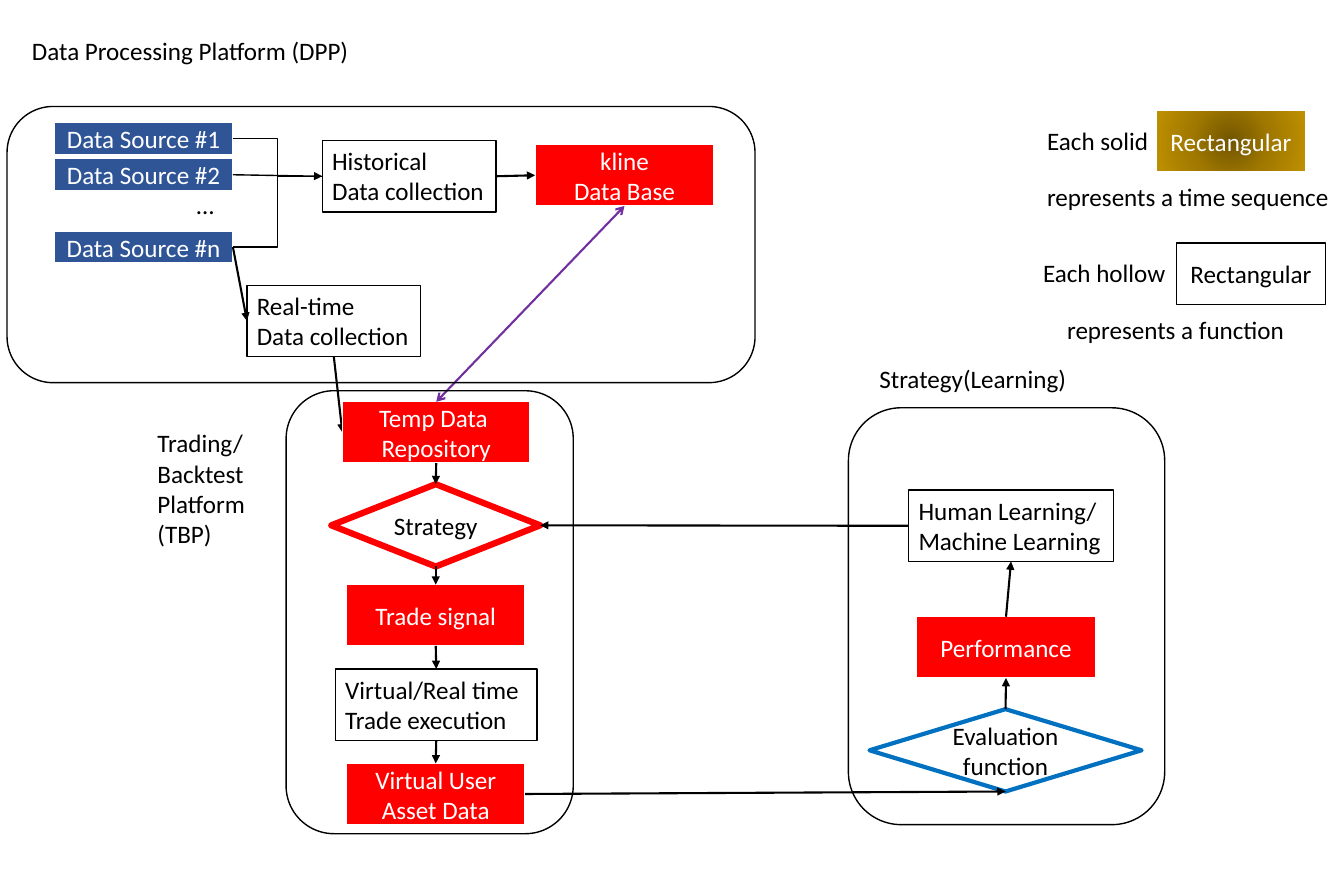
import lxml.etree
import pptx
import pptx.dml.color
import pptx.enum.dml
import pptx.enum.shapes
import pptx.enum.text
import pptx.oxml
import pptx.oxml.ns
import pptx.util

Inches = pptx.util.Inches
Pt = pptx.util.Pt
Preset = pptx.enum.shapes.MSO_SHAPE
Connector = pptx.enum.shapes.MSO_CONNECTOR
qn = pptx.oxml.ns.qn

BLACK, WHITE, RED, BLUE, PURPLE = "000000", "FFFFFF", "FF0000", "2F5597", "7030A0"
TOP, LEFT, BOTTOM, RIGHT = range(4)

presentation = pptx.Presentation()
presentation.slide_width = Inches(34 / 2.54)
presentation.slide_height = Inches(22 / 2.54)
slide = presentation.slides.add_slide(presentation.slide_layouts[6])


def color(hex_string):
    return pptx.dml.color.RGBColor.from_string(hex_string)


def add_node(preset, box, text="", fill=None, line=None, width=1, ink=BLACK, hug=False):
    position = [Inches(value) for value in box]
    if preset is None:
        shape = slide.shapes.add_textbox(*position)
    else:
        shape = slide.shapes.add_shape(preset, *position)
        shape.shadow.inherit = False
        if fill:
            shape.fill.solid()
            shape.fill.fore_color.rgb = color(fill)
        else:
            shape.fill.background()
        shape.line.color.rgb = color(line)
        shape.line.width = Pt(width)
    if not text:
        return shape
    frame = shape.text_frame
    frame.word_wrap = not hug
    if hug:
        frame.auto_size = pptx.enum.text.MSO_AUTO_SIZE.SHAPE_TO_FIT_TEXT
        frame.vertical_anchor = pptx.enum.text.MSO_ANCHOR.TOP
    else:
        frame.vertical_anchor = pptx.enum.text.MSO_ANCHOR.MIDDLE
    paragraph = frame.paragraphs[0]
    alignment = pptx.enum.text.PP_ALIGN
    paragraph.alignment = alignment.LEFT if hug else alignment.CENTER
    for index, words in enumerate(text.split("\n")):
        if index:
            paragraph.add_line_break()
        run = paragraph.add_run()
        run.text = words
        run.font.size = Pt(18)
        run.font.name = "Calibri"
        run.font.color.rgb = color(ink)
    return shape


nodes = {}

for name, left, top, width, text in [
    ("signal", 3.45, 5.82, 1.78, "Trade signal"),
    ("asset", 3.45, 7.6, 1.78, "Virtual User\nAsset Data"),
    ("performance", 9.13, 6.14, 1.78, "Performance"),
    ("kline", 5.33, 1.44, 1.78, "kline\nData Base"),
    ("repository", 3.41, 4, 1.87, "Temp Data \nRepository"),
]:
    nodes[name] = add_node(Preset.RECTANGLE, (left, top, width, 0.61), text, RED, WHITE, ink=WHITE)

for name, left, top, width, text in [
    ("execution", 3.34, 6.66, 2.01, "Virtual/Real time \nTrade execution"),
    ("learning", 9.05, 4.88, 2.04, "Human Learning/\nMachine Learning"),
    ("historical", 3.21, 1.4, 1.73, "Historical\nData collection"),
    ("realtime", 2.46, 2.84, 1.73, "Real-time\nData collection"),
]:
    nodes[name] = add_node(Preset.RECTANGLE, (left, top, width, 0.71), text, line=BLACK, hug=True)

for number, top in [("1", 1.22), ("2", 1.58), ("n", 2.3)]:
    nodes["source " + number] = add_node(
        Preset.RECTANGLE, (0.54, top, 1.78, 0.32), "Data Source #" + number, BLUE, WHITE, ink=WHITE)

nodes["strategy"] = add_node(
    Preset.FLOWCHART_DECISION, (3.3, 4.82, 2.08, 0.82), "Strategy", line=RED, width=4.5)
nodes["evaluation"] = add_node(
    Preset.FLOWCHART_DECISION, (8.66, 7.06, 2.71, 0.82), "Evaluation function", line="0070C0", width=3)

for start, start_side, finish, finish_side, kind, ink, width, head, tail in [
    ("source 2", RIGHT, "historical", LEFT, Connector.STRAIGHT, BLACK, 1, None, "triangle"),
    ("source 1", RIGHT, "historical", LEFT, Connector.ELBOW, BLACK, 1, None, None),
    ("source n", RIGHT, "historical", LEFT, Connector.ELBOW, BLACK, 1, None, None),
    ("kline", BOTTOM, "repository", TOP, Connector.STRAIGHT, PURPLE, 1.5, "arrow", "arrow"),
] + [
    (*ends, Connector.STRAIGHT, BLACK, 1.5, None, "triangle") for ends in [
        ("historical", RIGHT, "kline", LEFT),
        ("source n", RIGHT, "realtime", LEFT),
        ("realtime", BOTTOM, "repository", LEFT),
        ("repository", BOTTOM, "strategy", TOP),
        ("strategy", BOTTOM, "signal", TOP),
        ("signal", BOTTOM, "execution", TOP),
        ("execution", BOTTOM, "asset", TOP),
        ("asset", RIGHT, "evaluation", BOTTOM),
        ("evaluation", TOP, "performance", BOTTOM),
        ("performance", TOP, "learning", BOTTOM),
        ("learning", LEFT, "strategy", RIGHT),
    ]
]:
    connector = slide.shapes.add_connector(kind, 0, 0, 0, 0)
    connector.begin_connect(nodes[start], start_side)
    connector.end_connect(nodes[finish], finish_side)
    connector.line.color.rgb = color(ink)
    connector.line.width = Pt(width)
    properties = connector.element.spPr
    line_element = properties.find(qn("a:ln"))
    for tag, arrow in [("a:headEnd", head), ("a:tailEnd", tail)]:
        if arrow:
            lxml.etree.SubElement(line_element, qn(tag), type=arrow)
    lxml.etree.SubElement(properties, qn("a:effectLst"))
    if start == "realtime":
        nodes[finish].element.addprevious(connector.element)

for panel in [(0.07, 1.06, 7.45, 2.75), (2.85, 3.89, 2.86, 4.41), (8.45, 4.06, 3.15, 4.15)]:
    add_node(Preset.ROUNDED_RECTANGLE, panel, line=BLACK)

for left, top, width, height, text in [
    (0.22, 0.3, 3.39, 0.4, "Data Processing Platform (DPP)"),
    (1.47, 4.21, 1.09, 1.31, "Trading/\nBacktest\nPlatform\n(TBP)"),
    (8.66, 3.57, 2.08, 0.4, "Strategy(Learning)"),
    (1.86, 1.84, 0.38, 0.4, "…"),
    (10.33, 1.2, 1.22, 0.4, "Each solid"),
    (10.33, 1.76, 3.04, 0.4, "represents a time sequence"),
    (10.29, 2.51, 1.43, 0.4, "Each hollow"),
    (10.53, 3.08, 2.39, 0.4, "represents a function"),
]:
    add_node(None, (left, top, width, height), text, hug=True)

add_node(Preset.RECTANGLE, (11.72, 2.42, 1.48, 0.61), "Rectangular", line=BLACK)
solid_sample = add_node(
    Preset.RECTANGLE, (11.52, 1.1, 1.48, 0.61), "Rectangular", line=WHITE, ink=WHITE)
solid_sample.fill.gradient()
gradient = solid_sample.element.spPr.find(qn("a:gradFill"))
for child in list(gradient):
    gradient.remove(child)
stops = lxml.etree.SubElement(gradient, qn("a:gsLst"))
for percent, shade in [(0, "715500"), (50, "A17900"), (100, "BF9000")]:
    stop = lxml.etree.SubElement(stops, qn("a:gs"), pos=str(percent * 1000))
    lxml.etree.SubElement(stop, qn("a:srgbClr"), val=shade)
circle = lxml.etree.SubElement(gradient, qn("a:path"), path="circle")
lxml.etree.SubElement(circle, qn("a:fillToRect"), l="50000", t="50000", r="50000", b="50000")

presentation.save("out.pptx")
